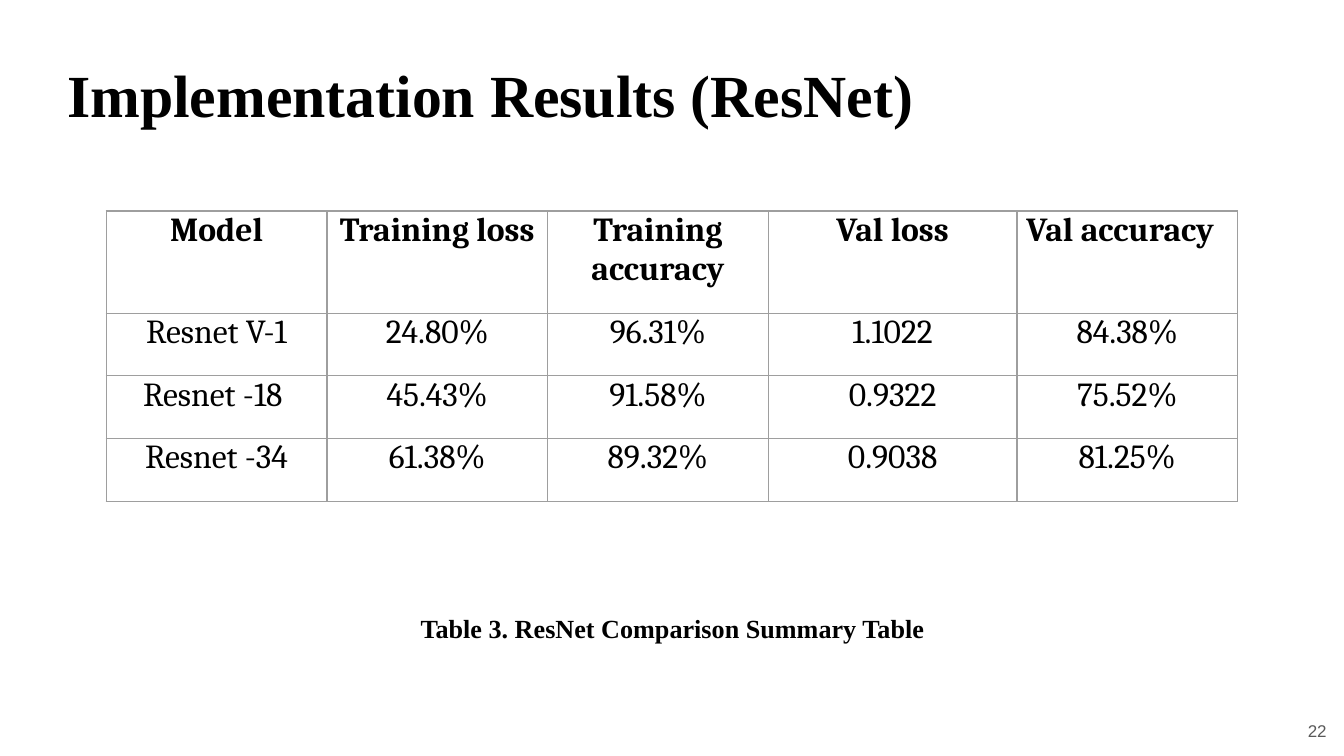
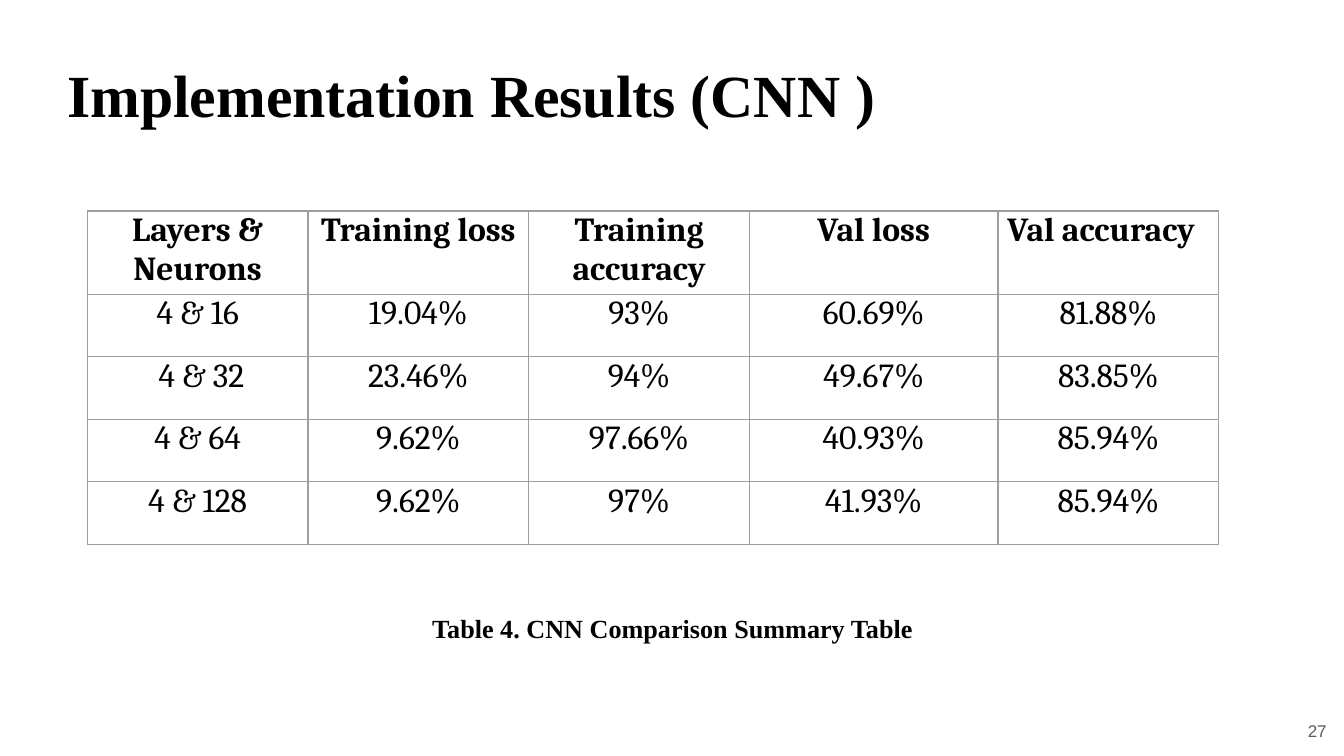
from dataclasses import dataclass

from lxml import etree
from pptx import Presentation
from pptx import util as u
from pptx.dml.color import RGBColor
from pptx.enum import text as t
from pptx.oxml.ns import qn


@dataclass(frozen=True)
class Theme:
    ink: str = "000000"
    grey: str = "595959"
    rule: str = "9E9E9E"
    serif: str = "Times New Roman"
    grid: str = "Cambria"
    sans: str = "Arial"
    head: float = 32
    body: float = 18
    note: float = 14
    page: float = 9.1
    line: float = 0.75


THEME = Theme()
LEFT, MID, RIGHT = t.PP_ALIGN.LEFT, t.PP_ALIGN.CENTER, t.PP_ALIGN.RIGHT
SIDES = ("left", "top", "right", "bottom")
WIDTH, WIDE = 8.42, 1.85
SLIM = (WIDTH - WIDE) / 4
COLS = (SLIM, SLIM, SLIM, WIDE, SLIM)
METRICS = ("Training loss", "Training accuracy", "Val loss", "Val accuracy")

SLIDES = (
    dict(
        title="Implementation Results (ResNet)",
        page="22",
        note="Table 3. ResNet Comparison Summary Table",
        left=0.79,
        height=2.16,
        top_row=0.76,
        rows=(
            ("Model", *METRICS),
            ("Resnet V-1", "24.80%", "96.31%", "1.1022", "84.38%"),
            ("Resnet -18 ", "45.43%", "91.58%", "0.9322", "75.52%"),
            ("Resnet -34", "61.38%", "89.32%", "0.9038", "81.25%"),
        ),
    ),
    dict(
        title="Implementation Results (CNN )",
        page="27",
        note="Table 4. CNN Comparison Summary Table",
        left=0.65,
        height=2.48,
        top_row=0.62,
        rows=(
            ("Layers & Neurons", *METRICS),
            ("4 & 16", "19.04%", "93%", "60.69%", "81.88%"),
            (" 4 & 32", "23.46%", "94%", "49.67%", "83.85%"),
            ("4 & 64", "9.62%", "97.66%", "40.93%", "85.94%"),
            ("4 & 128", "9.62%", "97%", "41.93%", "85.94%"),
        ),
    ),
)


def assign(item, values):
    for name, value in values.items():
        setattr(item, name, value)


def write(frame, words, face, size, ink=THEME.ink, bold=False, align=LEFT):
    para = frame.paragraphs[0]
    para.alignment = align
    run = para.add_run()
    run.text = words
    assign(run.font, dict(name=face, size=u.Pt(size), bold=bold))
    run.font.color.rgb = RGBColor.from_string(ink)


def inset(item, *sizes):
    assign(item, {f"margin_{side}": u.Inches(size) for side, size in zip(SIDES, sizes)})


def add_title(slide, words):
    title = slide.shapes.title
    spots = zip(("left", "top", "width", "height"), (0.5, 0.23, 9, 0.94))
    assign(title, {name: u.Inches(size) for name, size in spots})
    frame = title.text_frame
    assign(frame, dict(word_wrap=True, auto_size=t.MSO_AUTO_SIZE.NONE,
                       vertical_anchor=t.MSO_ANCHOR.MIDDLE))
    inset(frame, 0, 0, 0, 0)
    write(frame, words, THEME.serif, THEME.head, bold=True)


def add_text(slide, box, words, *style, **look):
    frame = slide.shapes.add_textbox(*map(u.Inches, box)).text_frame
    frame.word_wrap = True
    inset(frame, 0.1, 0.1, 0.1, 0.1)
    write(frame, words, *style, **look)
    return frame


def add_rules(cell):
    """Draw the four borders; they must come before the fill in the XML."""
    props = cell._tc.get_or_add_tcPr()
    for side in "LRTB":
        line = etree.SubElement(props, qn(f"a:ln{side}"), w=str(u.Pt(THEME.line)))
        fill = etree.SubElement(line, qn("a:solidFill"))
        etree.SubElement(fill, qn("a:srgbClr"), val=THEME.rule)


def add_grid(slide, left, height, top_row, rows):
    """Add a table whose rows below the header share the rest of the height."""
    box = (left, 1.57, WIDTH, height)
    grid = slide.shapes.add_table(len(rows), len(COLS), *map(u.Inches, box)).table
    assign(grid, dict(first_row=False, horz_banding=False))
    for col, width in zip(grid.columns, COLS):
        col.width = u.Inches(width)
    rest = (height - top_row) / (len(rows) - 1)
    for r, row in enumerate(rows):
        grid.rows[r].height = u.Inches(rest if r else top_row)
        for c, words in enumerate(row):
            cell = grid.cell(r, c)
            inset(cell, 0.07, 0, 0.07, 0)
            add_rules(cell)
            cell.fill.background()
            align = LEFT if words == "Val accuracy" else MID
            write(cell.text_frame, words, THEME.grid, THEME.body,
                  bold=r == 0, align=align)


def add_page(slide, number):
    frame = add_text(slide, (9.37, 5.29, 0.6, 0.32), number, THEME.sans,
                     THEME.page, ink=THEME.grey, align=RIGHT)
    inset(frame, 0.1, 0.14, 0.1, 0.06)
    frame.paragraphs[0].line_spacing = 0.8


def add_note(slide, words):
    frame = add_text(slide, (2.39, 4.46, 5.23, 0.44), words, THEME.serif,
                     THEME.note, bold=True, align=MID)
    frame.auto_size = t.MSO_AUTO_SIZE.SHAPE_TO_FIT_TEXT


def main():
    deck = Presentation()
    wide = u.Inches(10)
    assign(deck, dict(slide_width=wide, slide_height=wide * 9 // 16))
    layout = deck.slide_layouts.get_by_name("Title Only")
    for data in SLIDES:
        slide = deck.slides.add_slide(layout)
        add_title(slide, data["title"])
        add_page(slide, data["page"])
        add_grid(slide, data["left"], data["height"], data["top_row"], data["rows"])
        add_note(slide, data["note"])
    deck.save("out.pptx")


if __name__ == "__main__":
    main()
